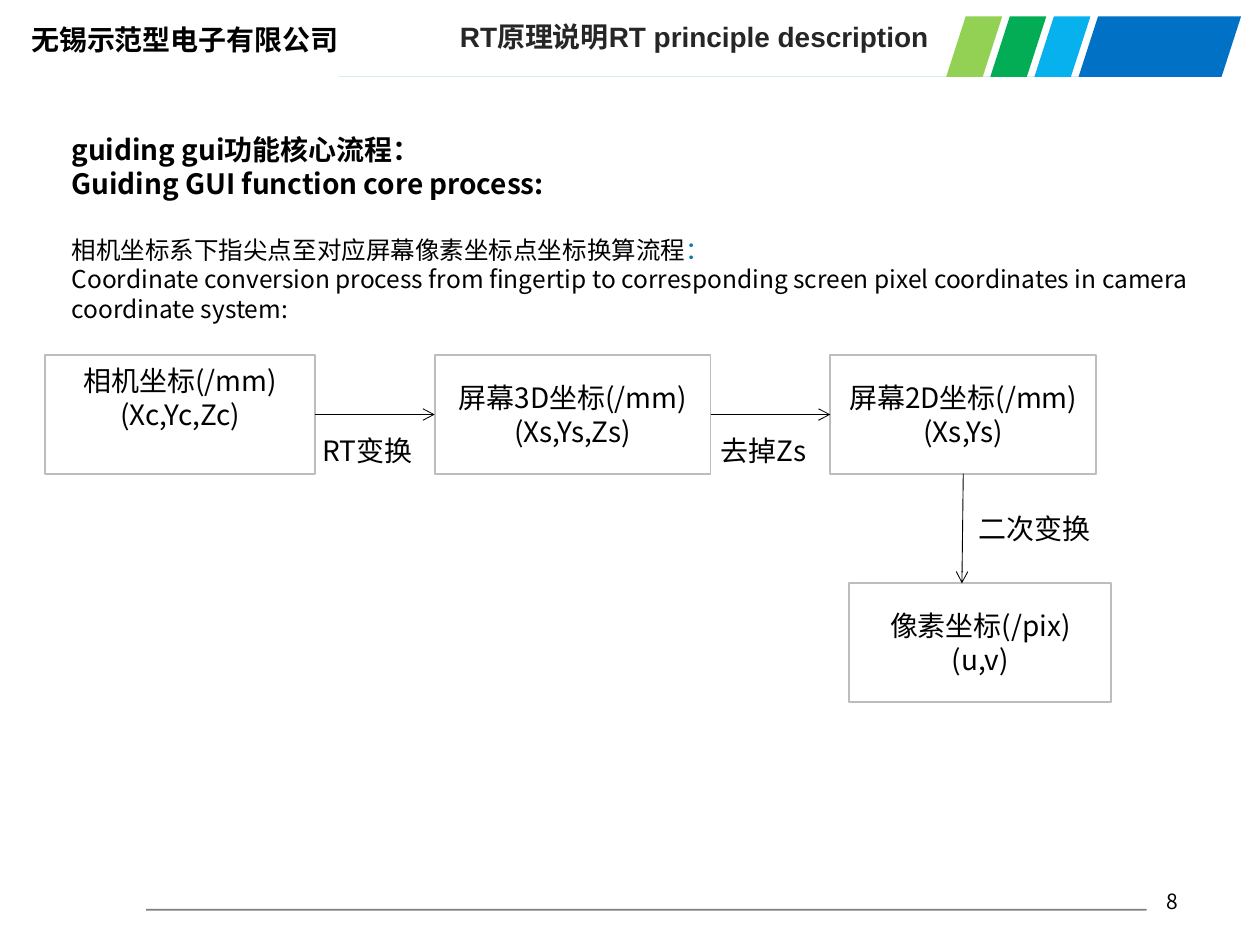
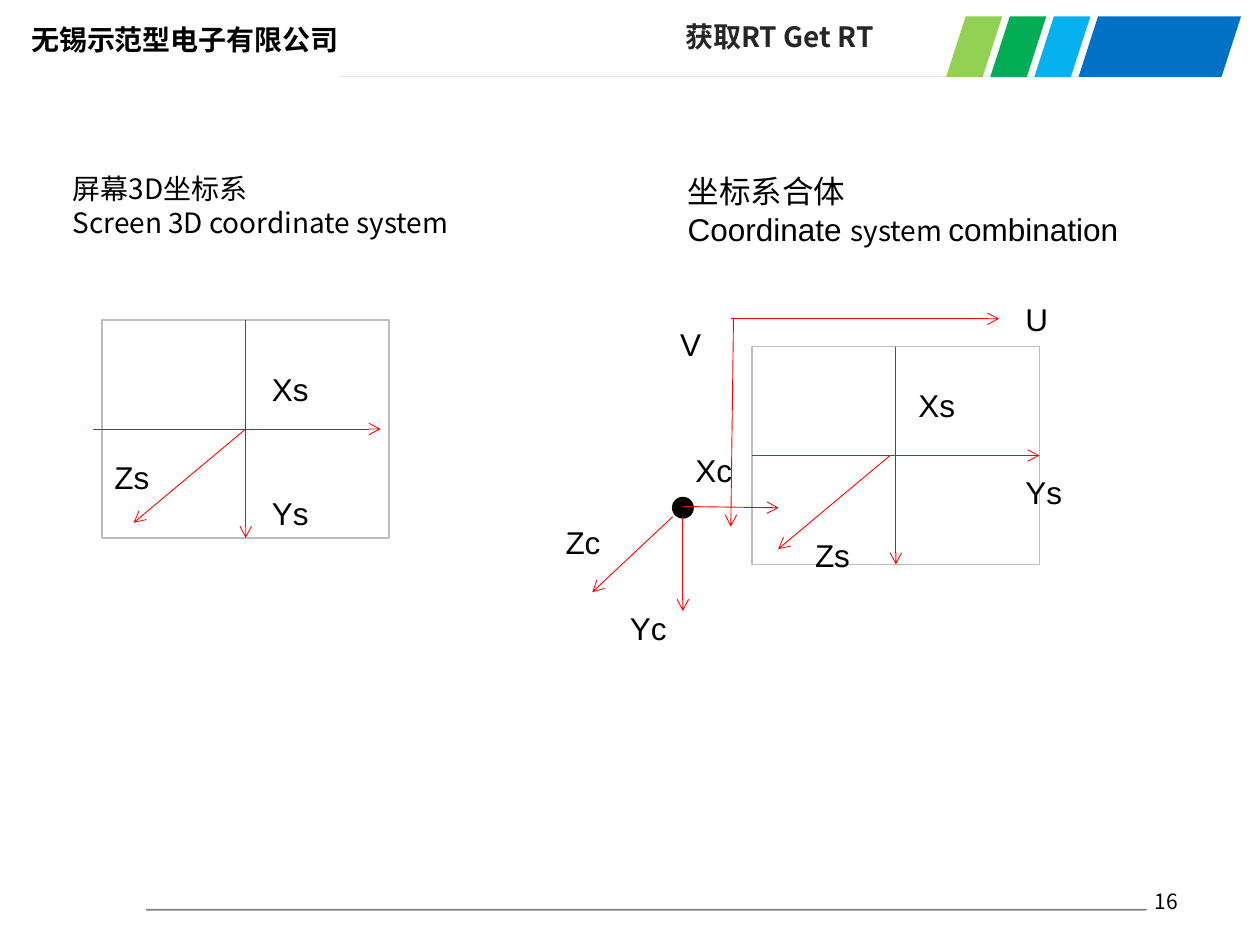
from dataclasses import dataclass

from lxml import etree
from pptx import Presentation
from pptx.dml.color import RGBColor
from pptx.enum.shapes import MSO_CONNECTOR, MSO_SHAPE
from pptx.enum.text import MSO_ANCHOR, MSO_AUTO_SIZE, PP_ALIGN
from pptx.oxml.ns import qn
from pptx.util import Inches, Pt

LEFT, CENTER, RIGHT = PP_ALIGN.LEFT, PP_ALIGN.CENTER, PP_ALIGN.RIGHT
TOP, MIDDLE = MSO_ANCHOR.TOP, MSO_ANCHOR.MIDDLE
RECTANGLE, OVAL = MSO_SHAPE.RECTANGLE, MSO_SHAPE.OVAL
STRAIGHT = MSO_CONNECTOR.STRAIGHT
TITLE_ONLY = 5

COLUMNS, ROWS = 100, 75
CELL = Inches(0.1)


@dataclass(frozen=True)
class Theme:
    cjk: str = "Noto Sans CJK SC"
    latin: str = "Arial"
    black: str = "000000"
    white: str = "FFFFFF"
    title: str = "262626"
    accent: str = "027BA8"
    frame: str = "BDBDBD"
    axis: str = "FF0000"
    rule: str = "D9EDEE"
    bars: tuple = ("93D154", "03AD55", "06B1EE", "0071C5")
    heading_size: int = 16
    body_size: int = 14
    label_size: int = 18
    number_size: int = 12
    line_pitch: float = 1.215


THEME = Theme()


@dataclass(frozen=True)
class Region:
    """A box measured in columns and rows of the slide grid."""
    column: float
    row: float
    columns: float
    rows: float

    def point(self, across, down):
        """Turn shares of this box into a grid position."""
        return self.column + across * self.columns, self.row + down * self.rows

    def emu(self):
        return [cells(value) for value in (self.column, self.row, self.columns, self.rows)]


@dataclass(frozen=True)
class Run:
    text: str
    size: float = THEME.heading_size
    font: str = THEME.cjk
    color: str = THEME.black
    bold: bool = False


def cells(value):
    return round(value * CELL)


def rgb(value):
    return RGBColor.from_string(value)


def fill_text(frame, paragraphs, align=LEFT, anchor=TOP):
    """Write lists of runs, one list for each paragraph."""
    frame.word_wrap = True
    frame.auto_size = MSO_AUTO_SIZE.NONE
    frame.vertical_anchor = anchor
    for index, runs in enumerate(paragraphs):
        paragraph = frame.add_paragraph() if index else frame.paragraphs[0]
        paragraph.alignment = align
        paragraph.line_spacing = Pt(max(run.size for run in runs) * THEME.line_pitch)
        for item in runs:
            run = paragraph.add_run()
            run.text = item.text
            font = run.font
            font.size, font.bold, font.name = Pt(item.size), item.bold, item.font
            font.color.rgb = rgb(item.color)
            east_asian = etree.SubElement(run._r.get_or_add_rPr(), qn("a:ea"))
            east_asian.set("typeface", THEME.cjk)


def add_text(slide, region, paragraphs, align=LEFT, anchor=TOP):
    frame = slide.shapes.add_textbox(*region.emu()).text_frame
    fill_text(frame, paragraphs, align, anchor)
    return frame


def add_line(slide, start, end, color, width=0.5, arrow=True, opacity=None):
    ends = [cells(value) for value in (*start, *end)]
    connector = slide.shapes.add_connector(STRAIGHT, *ends)
    connector.line.color.rgb = rgb(color)
    connector.line.width = Pt(width)
    properties = connector._element.spPr
    line = properties.find(qn("a:ln"))
    if arrow:
        etree.SubElement(line, qn("a:tailEnd")).set("type", "arrow")
    if opacity is not None:
        alpha = etree.SubElement(line.find(".//" + qn("a:srgbClr")), qn("a:alpha"))
        alpha.set("val", str(opacity * 1000))
    etree.SubElement(properties, qn("a:effectLst"))


def add_box(slide, region, kind=RECTANGLE, fill=THEME.white, line=THEME.frame):
    shape = slide.shapes.add_shape(kind, *region.emu())
    shape.shadow.inherit = False
    shape.fill.solid()
    shape.fill.fore_color.rgb = rgb(fill)
    shape.line.color.rgb = rgb(line)
    shape.line.width = Pt(1)
    return shape


def add_header_bars(slide, region):
    """Slanted bars, equally stepped; the last one reaches the right edge."""
    slant, step, narrow = 1.55, 3.5, 4.45
    bottom = region.row + region.rows
    for index, color in enumerate(THEME.bars):
        left = region.column + index * step
        last = index == len(THEME.bars) - 1
        right = region.column + region.columns if last else left + narrow
        corners = [(left + slant, region.row), (right, region.row),
                   (right - slant, bottom), (left, bottom)]
        points = [(cells(x), cells(y)) for x, y in corners]
        builder = slide.shapes.build_freeform(*points[0])
        builder.add_line_segments(points[1:], close=True)
        bar = builder.convert_to_shape()
        bar.shadow.inherit = False
        bar.fill.solid()
        bar.fill.fore_color.rgb = rgb(color)
        bar.line.fill.background()


def add_frame(slide, number):
    """Header band and footer shared by every slide."""
    add_line(slide, (11.6, 72.2), (91, 72.2), THEME.black, 1, False, 50)
    add_line(slide, (26.9, 6.1), (96, 6.1), THEME.rule, 0.75, False)
    add_header_bars(slide, Region(75.1, 1.3, 23.4, 4.8))
    add_text(slide, Region(1.5, 1.3, 30.3, 3.7),
             [[Run("无锡示范型电子有限公司", bold=True)]])
    add_text(slide, Region(89.4, 70, 5.1, 3),
             [[Run(str(number), THEME.number_size)]], RIGHT, MIDDLE)


def add_slide(presentation, number, title, region, inset, font):
    slide = presentation.slides.add_slide(presentation.slide_layouts[TITLE_ONLY])
    add_frame(slide, number)
    placeholder = slide.shapes.title
    placeholder.left, placeholder.top, placeholder.width, placeholder.height = region.emu()
    fill_text(placeholder.text_frame, [[Run(title, font=font, color=THEME.title, bold=True)]])
    placeholder.text_frame.margin_left = cells(inset)
    return slide


def add_process_text(slide, region):
    body = THEME.body_size
    frame = add_text(slide, region, [
        [Run("guiding gui功能核心流程：", bold=True)],
        [Run("Guiding GUI function core process:", bold=True)],
        [Run("相机坐标系下指尖点至对应屏幕像素坐标点坐标换算流程", body),
         Run("：", body, color=THEME.accent)],
        [Run("Coordinate conversion process from fingertip to corresponding "
             "screen pixel coordinates in camera coordinate system:", body)],
    ])
    frame.paragraphs[2].space_before = Pt(THEME.heading_size * THEME.line_pitch)


def add_flow(slide, region):
    """Three boxes in a row, then one below the last."""
    left, top, height = region.column, region.row, 9.4
    steps = [
        (0, 0, 21.4, "相机坐标(/mm)", "(Xc,Yc,Zc)"),
        (30.9, 0, 21.9, "屏幕3D坐标(/mm)", "(Xs,Ys,Zs)"),
        (62.3, 0, 21.1, "屏幕2D坐标(/mm)", "(Xs,Ys)"),
        (63.8, 18.1, 20.8, "像素坐标(/pix)", "(u,v)"),
    ]
    boxes = []
    for column, row, width, name, values in steps:
        box = Region(left + column, top + row, width, height)
        shape = add_box(slide, box)
        fill_text(shape.text_frame, [[Run(name)], [Run(values)]], CENTER, MIDDLE)
        boxes.append((box, shape))
    boxes[0][1].text_frame.margin_bottom = cells(3.2)

    camera, screen, flat, pixel = [box for box, shape in boxes]
    for source, target in ((camera, screen), (screen, flat)):
        add_line(slide, source.point(1, 0.5), target.point(0, 0.5), THEME.black)
    add_line(slide, flat.point(0.5, 1), pixel.point(0.43, 0), THEME.black)

    for column, row, width, text in ((21, 5.7, 10.1, "RT变换"),
                                     (52.6, 5.7, 11.2, "去掉Zs"),
                                     (73.1, 11.9, 11.5, "二次变换")):
        add_text(slide, Region(left + column, top + row, width, 3.7), [[Run(text)]])


def add_axis_labels(slide, region, labels):
    """Place labels at columns and rows counted from the region's corner."""
    for text, (column, row) in labels.items():
        box = Region(region.column + column, region.row + row, 5.1, 4)
        add_text(slide, box, [[Run(text, THEME.label_size, THEME.latin)]])


def add_screen_axes(slide, region, labels, x_shift=0.0, z_shift=0.0):
    add_box(slide, region)
    for start, end in (((x_shift, 0.5), (1 + x_shift, 0.5)),
                       ((0.5, 0), (0.5, 1)),
                       ((0.5 + z_shift, 0.5), (0.11 + z_shift, 0.93))):
        add_line(slide, region.point(*start), region.point(*end), THEME.axis)
    add_axis_labels(slide, region, labels)


def add_camera_axes(slide, region):
    """Camera dot in the region's upper middle with its three axes."""
    x, y = region.column, region.row
    add_box(slide, Region(x + 9.5, y + 4.2, 1.6, 1.6), OVAL, THEME.black, THEME.black)
    for start, end in (((9.5, 5.7), (3.1, 11.7)),
                       ((10.3, 5.7), (10.3, 13.2)),
                       ((10.3, 4.9), (17.9, 5))):
        add_line(slide, (x + start[0], y + start[1]), (x + end[0], y + end[1]), THEME.axis)
    add_axis_labels(slide, region, {"Zc": (0, 5.7), "Xc": (10.3, 0), "Yc": (5.1, 12.5)})


def add_pixel_axes(slide, region):
    corner = region.point(0, 0)
    add_line(slide, corner, region.point(1, 0), THEME.axis)
    add_line(slide, region.point(0.01, 0), region.point(0, 1), THEME.axis)
    add_axis_labels(slide, region, {"V": (-5, 0), "U": (22.4, -2)})


def build_principle_slide(presentation):
    slide = add_slide(presentation, 8, "RT原理说明RT principle description",
                      Region(35.1, 1, 46.3, 9.1), 1.4, THEME.latin)
    add_process_text(slide, Region(4.7, 10, 92, 18.5))
    add_flow(slide, Region(3.6, 28.2, 84.6, 27.6))


def build_coordinates_slide(presentation):
    slide = add_slide(presentation, 16, "获取RT Get RT",
                      Region(38.4, 1, 42.9, 3.7), 16, THEME.cjk)
    add_text(slide, Region(4.8, 13.1, 32.9, 9.1),
             [[Run("屏幕3D坐标系")], [Run("Screen 3D coordinate system")]])
    label, latin = THEME.label_size, THEME.latin
    combined = add_text(slide, Region(53.6, 13.1, 36.4, 10.1), [
        [Run("坐标系合体", label, latin)],
        [Run("Coordinate ", label, latin), Run("system "), Run("combination", label, latin)],
    ])
    combined.margin_right = 0
    add_screen_axes(slide, Region(8.1, 25.4, 22.8, 17.3),
                    {"Xs": (12.5, 3.4), "Ys": (12.5, 13.3), "Zs": (0, 10.4)},
                    x_shift=-0.03)
    add_screen_axes(slide, Region(59.7, 27.5, 22.8, 17.3),
                    {"Xs": (12.2, 2.6), "Ys": (20.7, 9.5), "Zs": (4, 14.5)},
                    z_shift=-0.02)
    add_camera_axes(slide, Region(43.9, 35.3, 17.9, 16.5))
    add_pixel_axes(slide, Region(58, 25.3, 21.3, 16.5))


def main():
    presentation = Presentation()
    presentation.slide_width, presentation.slide_height = COLUMNS * CELL, ROWS * CELL
    build_principle_slide(presentation)
    build_coordinates_slide(presentation)
    presentation.save("out.pptx")


if __name__ == "__main__":
    main()
